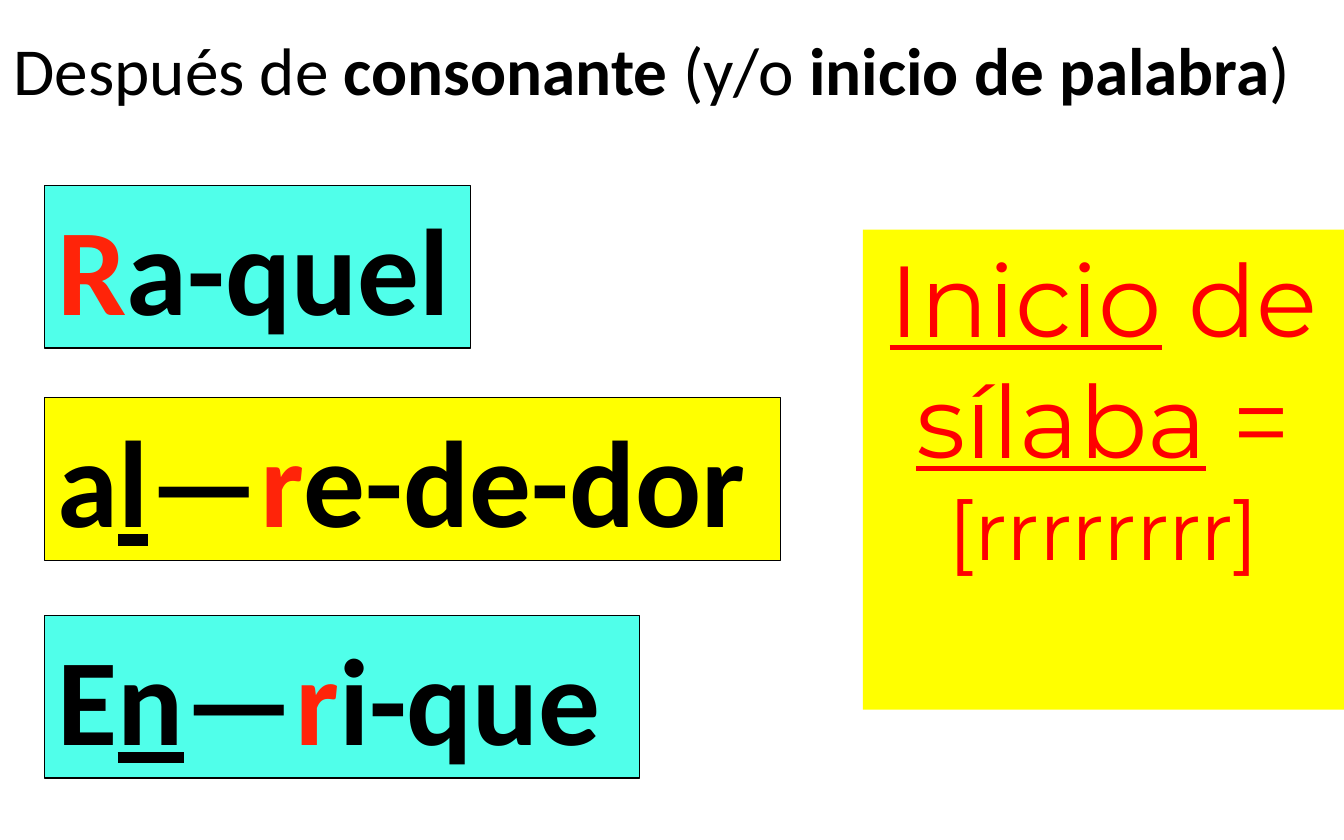
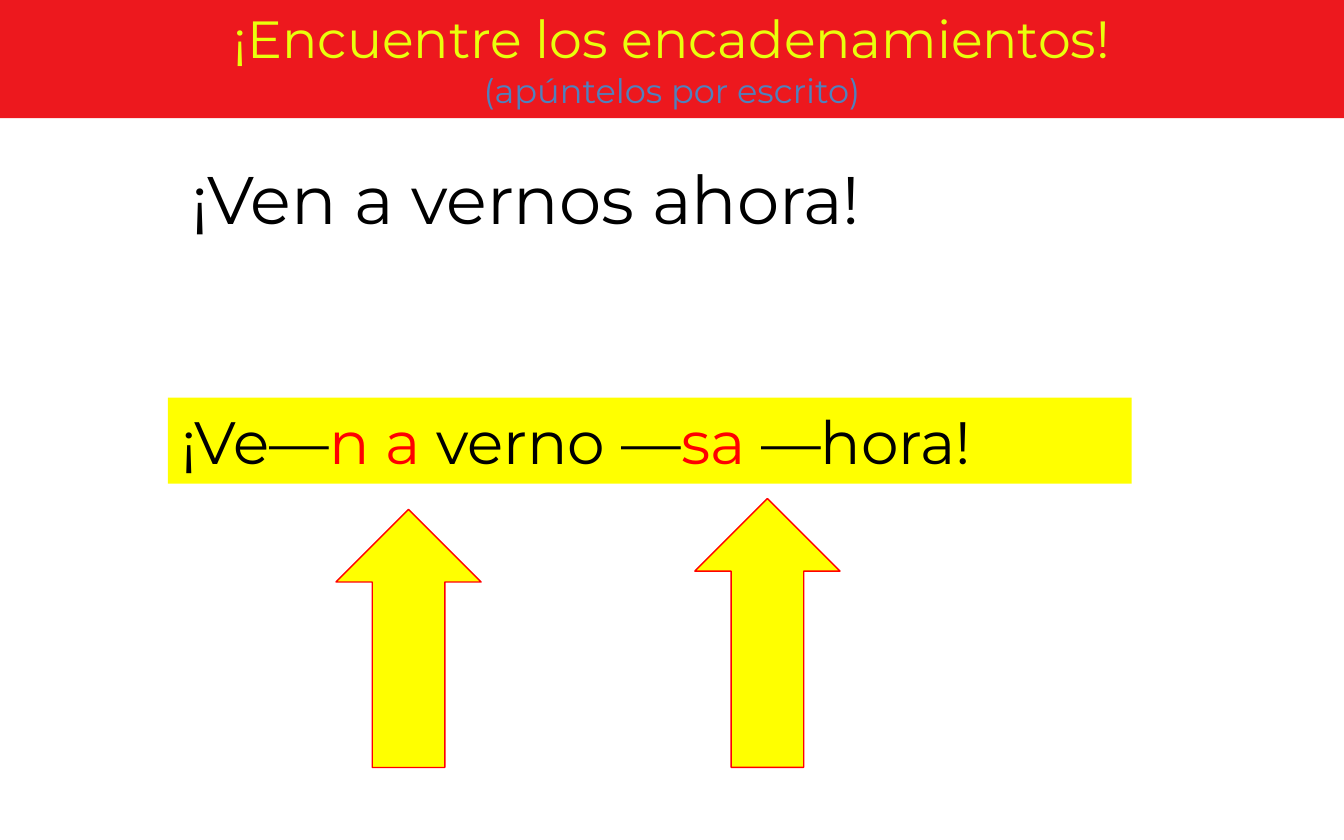
import pptx
import pptx.util
from pptx.dml.color import RGBColor
from pptx.enum.shapes import MSO_SHAPE
from pptx.enum.text import MSO_ANCHOR, MSO_AUTO_SIZE, PP_ALIGN
from pptx.util import Inches

COLORS = {
    "black": "000000",
    "red": "FF0000",
    "r_sound": "FF2409",
    "yellow": "FFFF00",
    "aqua": "50FFEA",
    "band": "ED181E",
    "band_title": "E9FF0C",
    "band_note": "4F81BD",
}
WORD_FONT = "Calibri"
BODY_FONT = "Montserrat"
TITLE_ONLY = 5


def rgb(name):
    return RGBColor.from_string(COLORS[name])


def place(shape, left, top, width, height):
    shape.left, shape.top = Inches(left), Inches(top)
    shape.width, shape.height = Inches(width), Inches(height)


def write(shape, *paragraphs, size, font=BODY_FONT, color="black", bold=False,
          align=PP_ALIGN.LEFT):
    """Fill a shape; each paragraph is a list of (text, overrides) runs."""
    tf = shape.text_frame
    tf.auto_size = MSO_AUTO_SIZE.NONE
    tf.word_wrap = True
    tf.vertical_anchor = MSO_ANCHOR.TOP
    for i, runs in enumerate(paragraphs):
        p = tf.add_paragraph() if i else tf.paragraphs[0]
        p.alignment = align
        for text, changes in runs:
            r = p.add_run()
            r.text = text
            r.font.name = font
            r.font.size = pptx.util.Pt(changes.get("size", size))
            r.font.bold = changes.get("bold", bold)
            r.font.underline = changes.get("underline", False)
            r.font.color.rgb = rgb(changes.get("color", color))


def add_block(s, box, fill, line=None, kind=MSO_SHAPE.RECTANGLE):
    sp = s.shapes.add_shape(kind, *map(Inches, box))
    sp.shadow.inherit = False
    sp.fill.solid()
    sp.fill.fore_color.rgb = rgb(fill)
    if line:
        sp.line.color.rgb = rgb(line)
        sp.line.width = pptx.util.Pt(0.75)
    else:
        sp.line.fill.background()
    return sp


def add_titled_slide(prs, box):
    s = prs.slides.add_slide(prs.slide_layouts[TITLE_ONLY])
    place(s.shapes.title, *box)
    return s


def build_syllable_slide(prs):
    s = add_titled_slide(prs, (0, 0.16, 10, 0.71))
    bold, underline, r_sound = {"bold": True}, {"underline": True}, {"color": "r_sound"}
    write(s.shapes.title,
          [("Después de ", {}), ("consonante ", bold), ("(y/o ", {}),
           ("inicio de palabra", bold), (")", {})],
          size=36, font=WORD_FONT)

    # Example words split into syllables
    words = [
        (1.38, 3.17, "aqua", [("R", r_sound), ("a-quel", {})]),
        (2.96, 5.48, "yellow", [("a", {}), ("l", underline), ("—", {}),
                                ("r", r_sound), ("e-de-dor", {})]),
        (4.58, 4.43, "aqua", [("E", {}), ("n", underline), ("—", {}),
                              ("r", r_sound), ("i-que", {})]),
    ]
    for top, width, fill, runs in words:
        sp = add_block(s, (0.33, top, width, 1.21), fill, line="black")
        write(sp, runs, size=66, font=WORD_FONT, bold=True)

    # Pronunciation rule
    rule = add_block(s, (6.42, 1.71, 3.58, 3.57), "yellow")
    write(rule,
          [("Inicio", underline), (" de ", {}), ("sílaba", underline),
           (" = ", {}), ("[rrrrrrrr]", {"size": 44})],
          size=54, color="red", align=PP_ALIGN.CENTER)


def build_linking_slide(prs):
    s = add_titled_slide(prs, (0, 0, 10, 0.88))
    band = s.shapes.title
    band.fill.solid()
    band.fill.fore_color.rgb = rgb("band")
    write(band,
          [("¡Encuentre los encadenamientos!", {})],
          [("(apúntelos por escrito)", {"size": 18, "color": "band_note"})],
          size=28, color="band_title", align=PP_ALIGN.CENTER)

    # Sentence and its linked reading
    sentence = s.shapes.add_textbox(*map(Inches, (1.33, 1.12, 6.62, 0.71)))
    write(sentence, [("¡Ven a vernos ahora!", {})], size=36)
    link = {"color": "red"}
    answer = add_block(s, (1.25, 2.96, 7.17, 0.64), "yellow")
    write(answer,
          [("¡Ve—", {}), ("n a ", link), ("verno —", {}), ("sa", link),
           (" —hora!", {})],
          size=32)

    # Arrows pointing at the links
    arrow_bottom = 5.71
    for left, top in ((2.5, 3.79), (5.17, 3.71)):
        add_block(s, (left, top, 1.08, arrow_bottom - top), "yellow",
                  line="red", kind=MSO_SHAPE.UP_ARROW)


def main():
    prs = pptx.Presentation()
    prs.slide_width, prs.slide_height = Inches(10), Inches(6.25)
    build_syllable_slide(prs)
    build_linking_slide(prs)
    prs.save("out.pptx")


if __name__ == "__main__":
    main()
